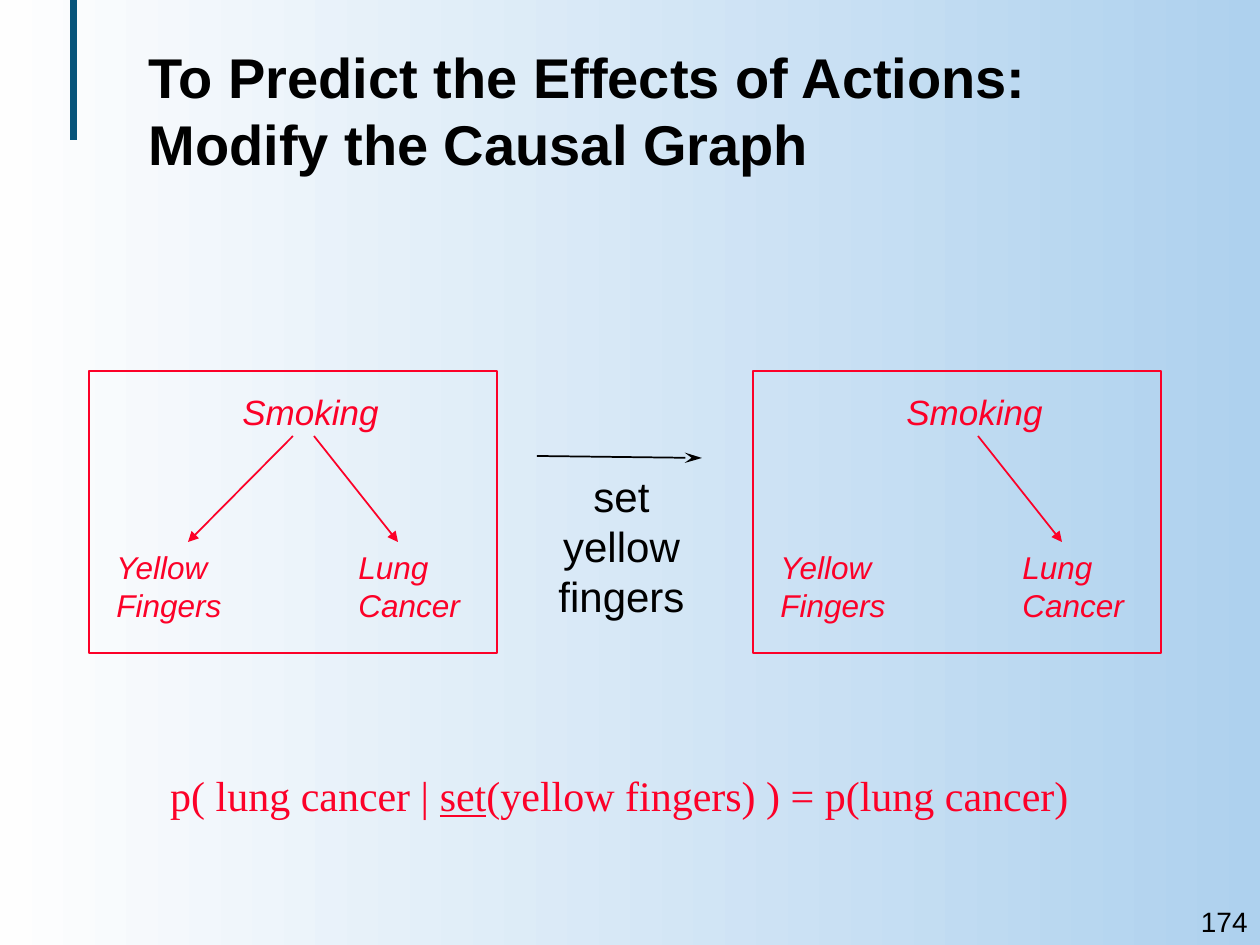
from dataclasses import dataclass

from lxml.etree import SubElement
from pptx import Presentation
from pptx.dml.color import RGBColor
from pptx.enum.shapes import MSO_CONNECTOR as Connector, MSO_SHAPE as Shape
from pptx.enum.text import MSO_ANCHOR as Anchor, MSO_AUTO_SIZE as AutoSize, PP_ALIGN as Align
from pptx.oxml.ns import qn
from pptx.slide import Slide
from pptx.util import Emu, Pt

PX_PER_INCH = 126
GRAPH_SHIFT = 664


def px(*lengths):
    return [Emu(round(n * 914400 / PX_PER_INCH)) for n in lengths]


def color(hex_string):
    return RGBColor.from_string(hex_string)


@dataclass
class Canvas:
    slide: Slide
    ink: str = "000000"
    red: str = "FC0128"
    accent: str = "07547A"
    sans: str = "Arial"
    serif: str = "Times New Roman"

    def background(self, right, left):
        fill = self.slide.background.fill
        fill.gradient()
        fill.gradient_angle = 180
        for stop, hex_string in zip(fill.gradient_stops, (right, left)):
            stop.color.rgb = color(hex_string)

    def style(self, run, size, hex_string, face=None, bold=False, italic=False):
        font = run.font
        font.name, font.size = face or self.sans, Pt(size)
        font.bold, font.italic = bold, italic
        font.color.rgb = color(hex_string)

    def title(self, box, lines, size):
        holder = self.slide.shapes.title
        holder.left, holder.top, holder.width, holder.height = px(*box)
        frame = holder.text_frame
        frame.auto_size, frame.vertical_anchor = AutoSize.NONE, Anchor.MIDDLE
        paragraph = frame.paragraphs[0]
        paragraph.alignment, paragraph.line_spacing = Align.LEFT, Pt(1.2 * size)
        for i, line in enumerate(lines):
            if i:
                paragraph.add_line_break()
            run = paragraph.add_run()
            run.text = line
            self.style(run, size, self.ink, bold=True)

    def text(self, box, paragraphs, size, hex_string, face=None, italic=False,
             align=Align.LEFT, anchor=Anchor.TOP, wrap=False, underlined=()):
        """Each paragraph is a list of run texts; those in underlined get a line below."""
        frame = self.slide.shapes.add_textbox(*px(*box)).text_frame
        frame.word_wrap, frame.vertical_anchor = wrap, anchor
        frame.auto_size = AutoSize.NONE if wrap else AutoSize.SHAPE_TO_FIT_TEXT
        for i, runs in enumerate(paragraphs):
            paragraph = frame.add_paragraph() if i else frame.paragraphs[0]
            paragraph.alignment, paragraph.line_spacing = align, Pt(1.2 * size)
            for words in runs:
                run = paragraph.add_run()
                run.text = words
                self.style(run, size, hex_string, face, italic=italic)
                if words in underlined:
                    run.font.underline = True

    def line(self, start, end, hex_string, width=1, head=None, head_length="med"):
        connector = self.slide.shapes.add_connector(
            Connector.STRAIGHT, *px(*start), *px(*end))
        connector.line.color.rgb = color(hex_string)
        connector.line.width = Pt(width)
        if head:
            SubElement(connector.line._get_or_add_ln(), qn("a:tailEnd"),
                       type=head, len=head_length)
        SubElement(connector._element.spPr, qn("a:effectLst"))

    def frame(self, box):
        outline = self.slide.shapes.add_shape(Shape.RECTANGLE, *px(*box))
        outline.shadow.inherit = False
        outline.fill.background()
        outline.line.color.rgb = color(self.red)
        outline.line.width = Pt(1)

    def causal_graph(self, shift, effects):
        """Draw Smoking over two outcomes; effects are (from x, to x) of the arrows."""
        for cause_x, effect_x in effects:
            self.line((cause_x + shift, 436), (effect_x + shift, 542), self.red,
                      head="triangle")
        nodes = [
            ((230, 384, 165, 55), ["Smoking"], 20),
            ((104, 542, 134, 88), ["Yellow", "Fingers"], 18),
            ((346, 542, 130, 88), ["Lung", "Cancer"], 18),
        ]
        for (left, *rest), words, size in nodes:
            self.text((left + shift, *rest), [[word] for word in words], size,
                      self.red, italic=True)
        self.frame((89 + shift, 371, 408, 282))


def main():
    deck = Presentation()
    deck.slide_width, deck.slide_height = px(1260, 945)
    canvas = Canvas(deck.slides.add_slide(deck.slide_layouts[5]))

    canvas.background("AED1EE", "FEFEFE")
    canvas.line((74, 0), (74, 140), canvas.accent, width=4)
    canvas.title((136, 31, 987, 158),
                 ["To Predict the Effects of Actions:", "Modify the Causal Graph"], 32)

    to_lung_cancer, to_yellow_fingers = (314, 398), (293, 188)
    canvas.causal_graph(0, [to_lung_cancer, to_yellow_fingers])
    canvas.causal_graph(GRAPH_SHIFT, [to_lung_cancer])

    canvas.line((537, 456), (702, 458), canvas.ink, head="stealth", head_length="lg")
    canvas.text((546, 464, 151, 164), [["set"], ["yellow"], ["fingers"]], 24,
                canvas.ink, align=Align.CENTER)
    canvas.text((135, 763, 969, 63),
                [["p( lung cancer | ", "set", "(yellow fingers) ) = p(lung cancer)"]],
                24, canvas.red, face=canvas.serif, align=Align.CENTER,
                anchor=Anchor.MIDDLE, wrap=True, underlined=("set",))
    canvas.text((1133, 898, 127, 47), [["174"]], 16, canvas.ink, align=Align.RIGHT,
                anchor=Anchor.MIDDLE, wrap=True)
    deck.save("out.pptx")


if __name__ == "__main__":
    main()
